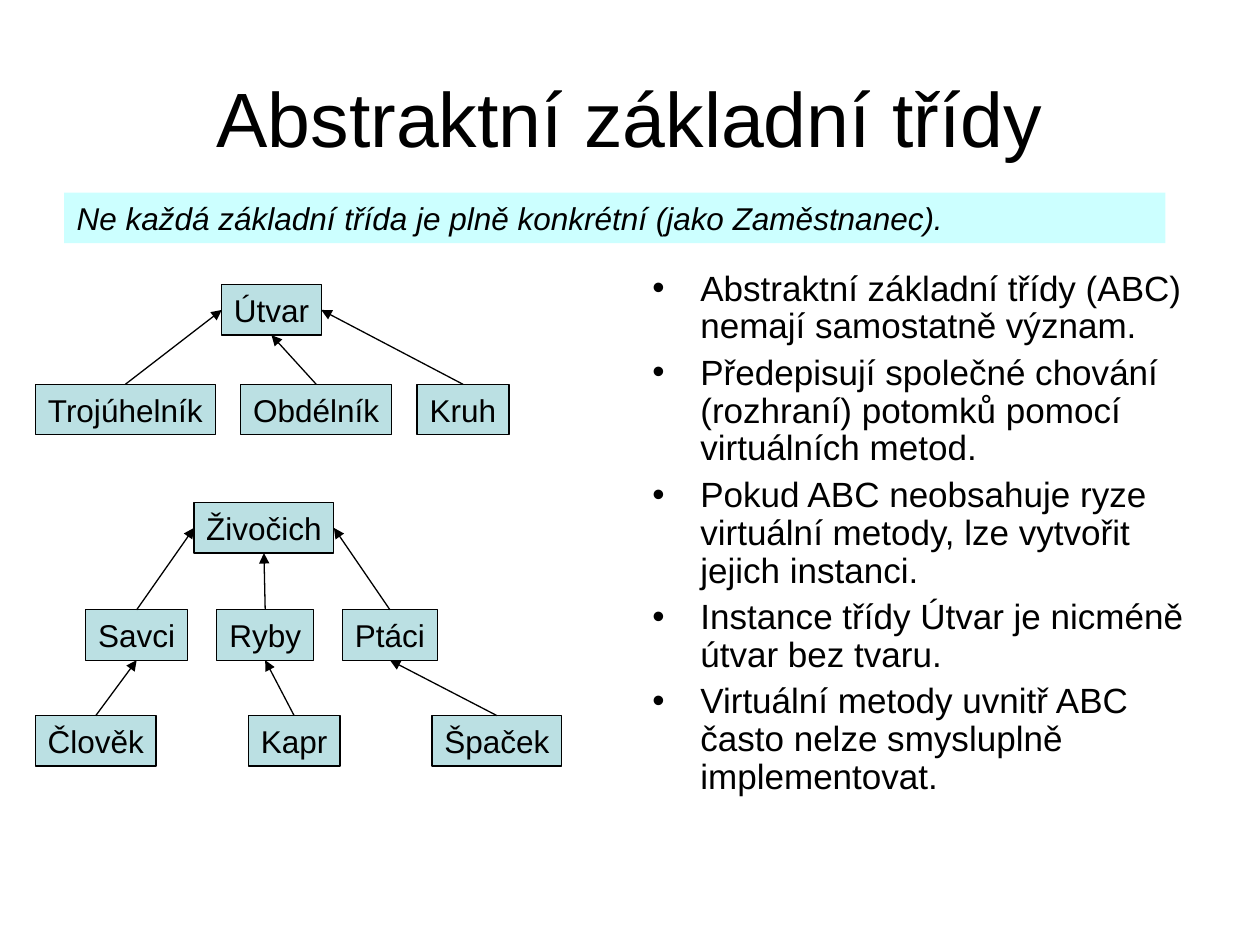
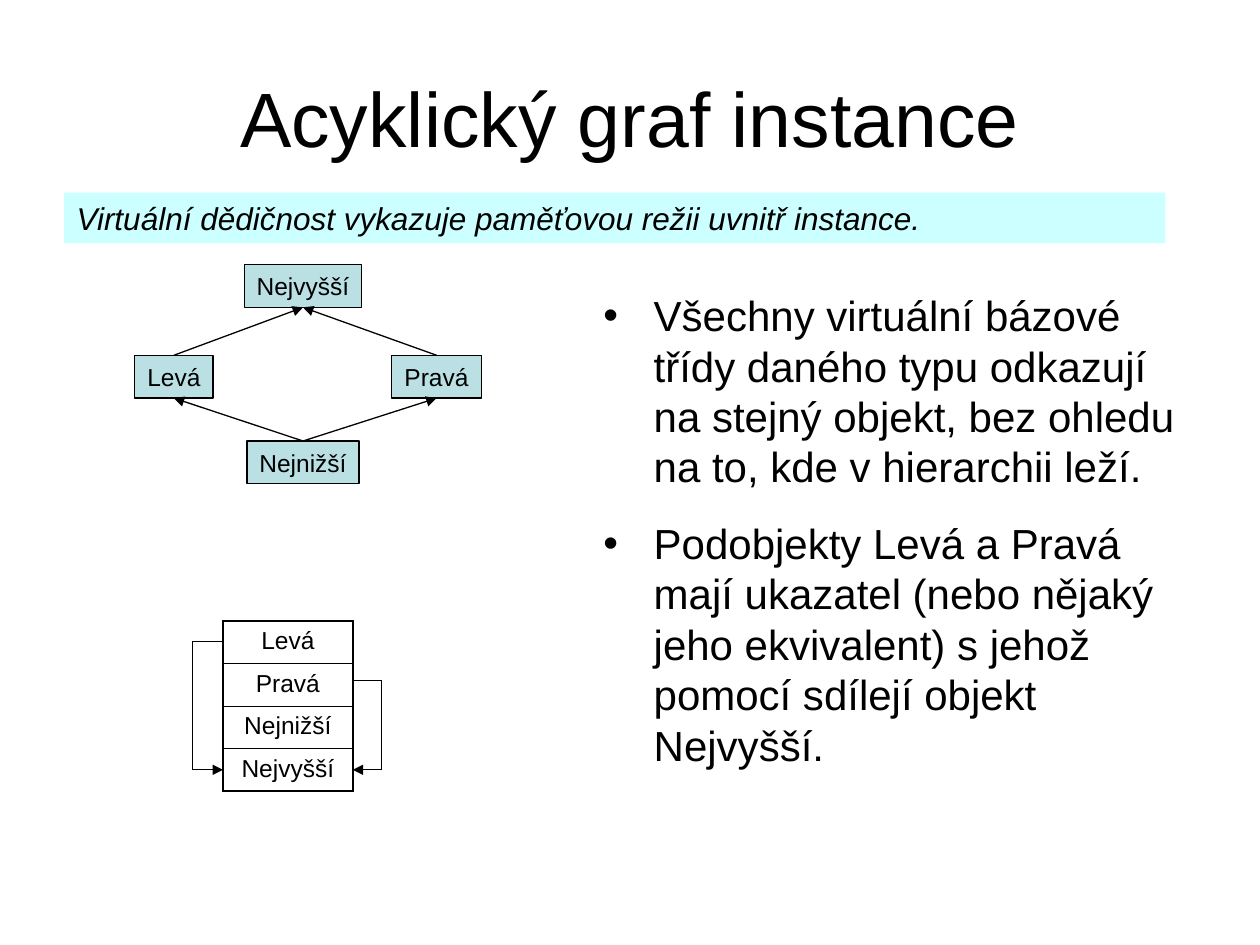
from dataclasses import dataclass

from lxml import etree
from pptx import Presentation
from pptx.dml.color import RGBColor
from pptx.enum.shapes import MSO_CONNECTOR, MSO_SHAPE
from pptx.enum.text import MSO_ANCHOR, MSO_AUTO_SIZE, PP_ALIGN
from pptx.oxml.ns import qn
from pptx.util import Inches, Pt

RECT = MSO_SHAPE.RECTANGLE
STRAIGHT = MSO_CONNECTOR.STRAIGHT
LEFT, CENTER = PP_ALIGN.LEFT, PP_ALIGN.CENTER
TOP, MIDDLE = MSO_ANCHOR.TOP, MSO_ANCHOR.MIDDLE
GROW = MSO_AUTO_SIZE.SHAPE_TO_FIT_TEXT
FIXED = MSO_AUTO_SIZE.NONE
NORTH, WEST, SOUTH, EAST = range(4)


@dataclass(frozen=True)
class Theme:
    """Colours, font and type sizes of the deck."""
    font: str = "Arial"
    ink: RGBColor = RGBColor(0, 0, 0)
    band: RGBColor = RGBColor(0xCC, 0xFF, 0xFF)
    box: RGBColor = RGBColor(0xBB, 0xE0, 0xE3)
    title: int = 44
    large: int = 24
    list: int = 20
    text: int = 18
    small: int = 14
    line: float = 0.75
    rim: float = 1.08
    rule: float = 0.45


THEME = Theme()


def style(para, size, align=LEFT, before=0, italic=None):
    """Format one paragraph."""
    para.alignment = align
    para.space_before = Pt(before)
    font = para.font
    font.name, font.size, font.italic = THEME.font, Pt(size), italic
    font.color.rgb = THEME.ink


def add_rect(slide, text, place, fill):
    """Add a flat filled rectangle with text."""
    rect = slide.shapes.add_shape(RECT, *map(Inches, place))
    rect.shadow.inherit = False
    rect.fill.solid()
    rect.fill.fore_color.rgb = fill
    rect.text_frame.text = text
    return rect


def add_head(slide, title, claim):
    """Fill the title and add the band with the claim under it."""
    head = slide.shapes.title
    head.left, head.top, head.width, head.height = map(Inches, (0.5, 0.3, 9, 1.25))
    head.text_frame.text = title
    head.text_frame.vertical_anchor = MIDDLE
    style(head.text_frame.paragraphs[0], THEME.title, CENTER)
    band = add_rect(slide, claim, (0.51, 1.53, 8.74, 0.4), THEME.band)
    band.line.fill.background()
    frame = band.text_frame
    frame.word_wrap = True
    frame.auto_size = GROW
    frame.vertical_anchor = TOP
    style(frame.paragraphs[0], THEME.text, before=11.2, italic=True)


def add_row(slide, left, top, items, gap=0, size=THEME.text, height=0.4):
    """Add a row of class boxes with equal gaps and return them by name."""
    boxes = {}
    for name, width in items:
        box = add_rect(slide, name, (left, top, width, height), THEME.box)
        box.line.color.rgb = THEME.ink
        box.line.width = Pt(THEME.line)
        frame = box.text_frame
        frame.word_wrap = False
        frame.auto_size = FIXED
        frame.margin_left = frame.margin_right = Inches(0.05)
        frame.vertical_anchor = MIDDLE
        style(frame.paragraphs[0], size, CENTER, size * 0.625)
        boxes[name] = box
        left += width + gap
    return boxes


def add_line(slide, start=(0, 0), end=(0, 0), arrow=True):
    """Add a thin line, with an arrowhead at its end if asked."""
    line = slide.shapes.add_connector(STRAIGHT, *map(Inches, (*start, *end)))
    line.line.color.rgb = THEME.ink
    line.line.width = Pt(THEME.line)
    props = line.element.spPr
    if arrow:
        etree.SubElement(props.find(qn("a:ln")), qn("a:tailEnd"), type="triangle")
    etree.SubElement(props, qn("a:effectLst"))
    return line


def add_links(slide, boxes, links):
    """Join the top of each child to the given side of its parent."""
    for child, parent, side in links:
        link = add_line(slide)
        link.begin_connect(boxes[child], NORTH)
        link.end_connect(boxes[parent], side)


def add_loop(slide, edge, out, top, base):
    """Add a square arrow that leaves an edge and returns to it lower down."""
    points = [(edge, top), (out, top), (out, base), (edge, base)]
    for start, end in zip(points, points[1:]):
        add_line(slide, start, end, arrow=end == points[-1])


def add_list(slide, place, items, size, before, indent, space=1.0, fit=FIXED):
    """Add a bulleted list."""
    frame = slide.shapes.add_textbox(*map(Inches, place)).text_frame
    frame.word_wrap = True
    frame.auto_size = fit
    frame.text = "\n".join(items)
    for para in frame.paragraphs:
        para.line_spacing = space
        style(para, size, before=before)
        props = para._p.get_or_add_pPr()
        props.set("marL", str(Inches(indent)))
        props.set("indent", str(-Inches(indent)))
        fonts = props.find(qn("a:defRPr"))
        fonts.addprevious(etree.Element(qn("a:buFont"), typeface=THEME.font))
        fonts.addprevious(etree.Element(qn("a:buChar"), char="•"))


def add_edge(cell, side, width):
    """Draw one border of a cell."""
    props = cell._tc.get_or_add_tcPr()
    edge = etree.SubElement(props, qn(f"a:ln{side}"), w=str(Pt(width)))
    fill = etree.SubElement(edge, qn("a:solidFill"))
    etree.SubElement(fill, qn("a:srgbClr"), val=str(THEME.ink))


def add_stack(slide, place, names):
    """Add a one-column table that shows the memory layout."""
    frame = slide.shapes.add_table(len(names), 1, *map(Inches, place))
    table = frame.table
    table.first_row = table.horz_banding = False
    last = len(names) - 1
    for row, name in enumerate(names):
        cell = table.cell(row, 0)
        cell.text = name
        style(cell.text_frame.paragraphs[0], THEME.small, CENTER, 3.5)
        add_edge(cell, "L", THEME.rim)
        add_edge(cell, "R", THEME.rim)
        add_edge(cell, "T", THEME.rim if row == 0 else THEME.rule)
        add_edge(cell, "B", THEME.rim if row == last else THEME.rule)
        cell.fill.background()


def draw_bases(slide):
    """Build the slide on abstract base classes."""
    add_head(slide, "Abstraktní základní třídy",
             "Ne každá základní třída je plně konkrétní (jako Zaměstnanec).")
    add_list(slide, (5.08, 2.1, 4.42, 4.6), [
        "Abstraktní základní třídy (ABC) nemají samostatně význam.",
        "Předepisují společné chování (rozhraní) potomků pomocí virtuálních metod.",
        "Pokud ABC neobsahuje ryze virtuální metody, lze vytvořit jejich instanci.",
        "Instance třídy Útvar je nicméně útvar bez tvaru.",
        "Virtuální metody uvnitř ABC často nelze smysluplně implementovat.",
    ], THEME.list, before=5, indent=0.38, space=0.9)
    shapes = add_row(slide, 1.76, 2.26, [("Útvar", 0.79)])
    shapes |= add_row(slide, 0.28, 3.05, [
        ("Trojúhelník", 1.43), ("Obdélník", 1.2), ("Kruh", 0.73)], gap=0.2)
    add_links(slide, shapes, [
        ("Trojúhelník", "Útvar", WEST),
        ("Obdélník", "Útvar", SOUTH),
        ("Kruh", "Útvar", EAST),
    ])
    beasts = add_row(slide, 1.54, 3.99, [("Živočich", 1.11)])
    beasts |= add_row(slide, 0.68, 4.84, [
        ("Savci", 0.81), ("Ryby", 0.77), ("Ptáci", 0.75)], gap=0.23)
    beasts |= add_row(slide, 0.28, 5.68, [
        ("Člověk", 0.96), ("Kapr", 0.73), ("Špaček", 1.03)], gap=0.73)
    add_links(slide, beasts, [
        ("Savci", "Živočich", WEST),
        ("Ryby", "Živočich", SOUTH),
        ("Ptáci", "Živočich", EAST),
        ("Člověk", "Savci", SOUTH),
        ("Kapr", "Ryby", SOUTH),
        ("Špaček", "Ptáci", SOUTH),
    ])


def draw_graph(slide):
    """Build the slide on the acyclic graph of an instance."""
    add_head(slide, "Acyklický graf instance",
             "Virtuální dědičnost vykazuje paměťovou režii uvnitř instance.")
    small = {"size": THEME.small, "height": 0.34}
    nodes = add_row(slide, 1.94, 2.1, [("Nejvyšší", 0.93)], **small)
    nodes |= add_row(slide, 1.07, 2.82, [("Levá", 0.62), ("Pravá", 0.71)],
                     gap=1.42, **small)
    nodes |= add_row(slide, 1.96, 3.5, [("Nejnižší", 0.89)], **small)
    add_links(slide, nodes, [
        ("Levá", "Nejvyšší", SOUTH),
        ("Pravá", "Nejvyšší", SOUTH),
        ("Nejnižší", "Levá", SOUTH),
        ("Nejnižší", "Pravá", SOUTH),
    ])
    add_stack(slide, (1.77, 4.93, 1.03, 1.35),
              ["Levá", "Pravá", "Nejnižší", "Nejvyšší"])
    add_loop(slide, 1.77, 1.53, 5.09, 6.11)
    add_loop(slide, 2.8, 3.03, 5.4, 6.11)
    add_list(slide, (4.69, 2.25, 4.8, 3.91), [
        "Všechny virtuální bázové třídy daného typu odkazují na stejný objekt, "
        "bez ohledu na to, kde v hierarchii leží.",
        "Podobjekty Levá a Pravá mají ukazatel (nebo nějaký jeho ekvivalent) "
        "s jehož pomocí sdílejí objekt Nejvyšší.",
    ], THEME.large, before=15, indent=0.4, fit=GROW)


def main():
    """Build and save the deck."""
    deck = Presentation()
    deck.slide_width, deck.slide_height = Inches(10), Inches(7.5)
    layout = deck.slide_layouts.get_by_name("Title Only")
    for draw in (draw_bases, draw_graph):
        draw(deck.slides.add_slide(layout))
    deck.save("out.pptx")


if __name__ == "__main__":
    main()
